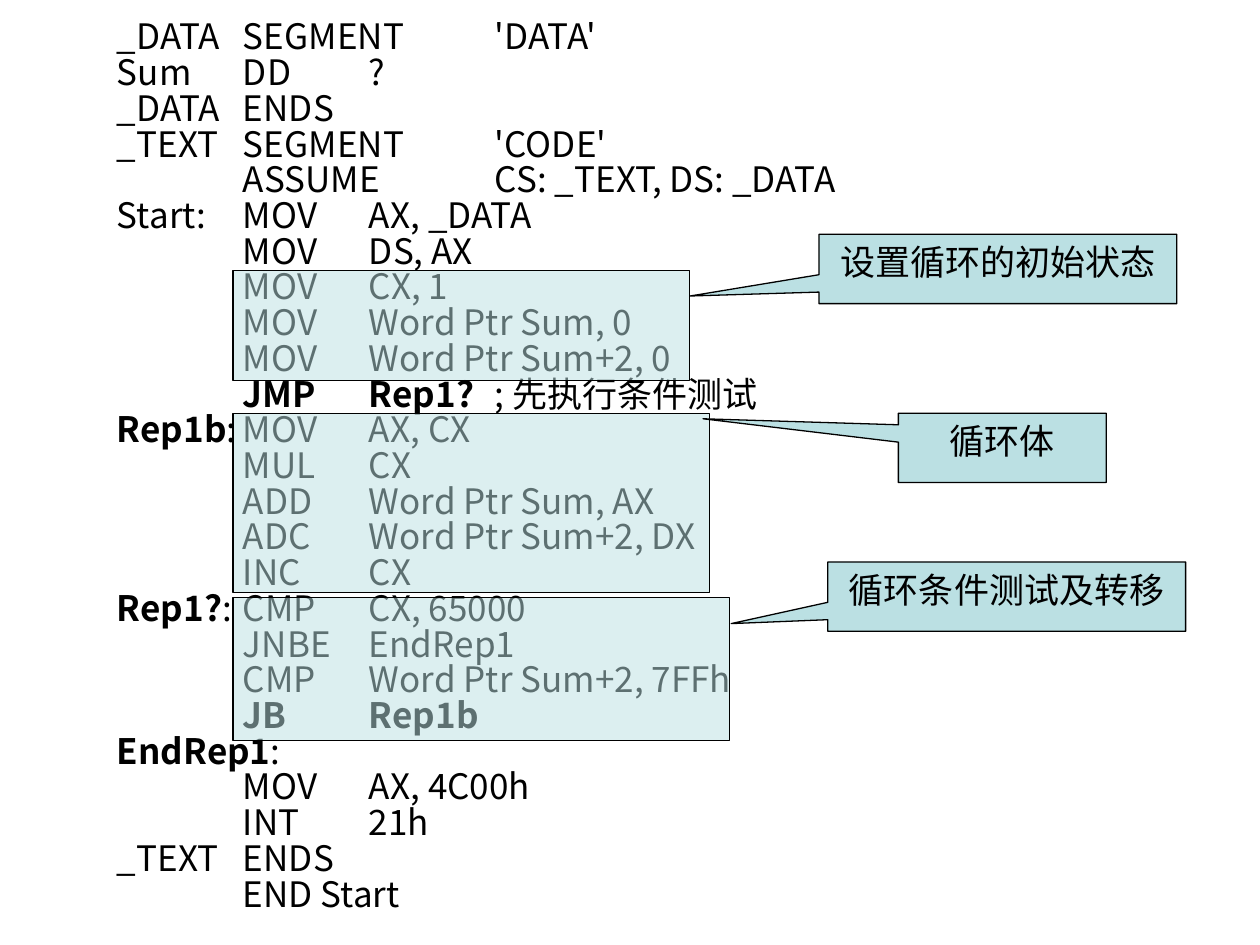
from lxml import etree
from pptx import Presentation, util as u
from pptx.dml.color import RGBColor
from pptx.enum import shapes, text
from pptx.oxml.ns import qn

COLOURS = {"ink": "000000", "panel": "BBE0E3"}
FONT = "Noto Sans CJK SC"
TAB_STOPS = range(8)
CODE_BOX = (0.83, 0.12, 7.95, 7.19)
BLOCK_LEFT = 1.85
CALLOUT_HEIGHT = 0.55
BOLD = "**"

CODE_LINES = [
    "_DATA\tSEGMENT\t'DATA'\t",
    "Sum\tDD\t?",
    "_DATA\tENDS",
    "_TEXT\tSEGMENT\t'CODE'",
    "\tASSUME\tCS: _TEXT, DS: _DATA",
    "Start:\tMOV\tAX, _DATA",
    "\tMOV\tDS, AX",
    "\tMOV\tCX, 1",
    "\tMOV\tWord Ptr Sum, 0",
    "\tMOV\tWord Ptr Sum+2, 0",
    "\t**JMP\tRep1?\t**; 先执行条件测试",
    "**Rep1b**:\tMOV\tAX, CX",
    "\tMUL\tCX\t",
    "\tADD\tWord Ptr Sum, AX",
    "\tADC\tWord Ptr Sum+2, DX",
    "\tINC\tCX\t",
    "**Rep1?**:\tCMP\tCX, 65000",
    "\tJNBE\tEndRep1",
    "\tCMP\tWord Ptr Sum+2, 7FFh",
    "\t**JB\tRep1b**",
    "**EndRep1**:",
    "\tMOV\tAX, 4C00h",
    "\tINT\t21h\t",
    "_TEXT\tENDS",
    "\tEND Start",
]

NOTES = [
    {"label": "设置循环的初始状态", "block": (2.15, 3.62, 0.87),
     "callout": (6.5, 1.86, 2.84), "pointer": (-0.86, 0.39)},
    {"label": "循环体", "block": (3.28, 3.78, 1.42),
     "callout": (7.13, 3.28, 1.65), "pointer": (-1.44, -0.42)},
    {"label": "循环条件测试及转移", "block": (4.74, 3.94, 1.14),
     "callout": (6.57, 4.46, 2.84), "pointer": (-0.77, 0.39)},
]


def colour(name):
    return RGBColor.from_string(COLOURS[name])


def apply(target, values):
    for name, value in values.items():
        setattr(target, name, value)


def inches(*lengths):
    return [u.Inches(length) for length in lengths]


def write_line(paragraph, line, values):
    tab_list = etree.SubElement(paragraph._p.get_or_add_pPr(), qn("a:tabLst"))
    for stop in TAB_STOPS:
        etree.SubElement(tab_list, qn("a:tab"), pos=str(u.Inches(stop)), algn="l")
    apply(paragraph, values)
    for index, part in enumerate(line.split(BOLD)):
        if part:
            run = paragraph.add_run()
            run.text = part
            apply(run.font, {"name": FONT, "size": u.Pt(20), "bold": index % 2 == 1})
            run.font.color.rgb = colour("ink")
            etree.SubElement(run._r.get_or_add_rPr(), qn("a:ea"), typeface=FONT)


def add_panel(group, kind, box):
    shape = group.shapes.add_shape(kind, *inches(*box))
    shape.shadow.inherit = False
    shape.fill.solid()
    shape.fill.fore_color.rgb = colour("panel")
    shape.line.color.rgb = colour("ink")
    shape.line.width = u.Pt(0.75)
    return shape


def add_code(slide):
    frame = slide.shapes.add_textbox(*inches(*CODE_BOX)).text_frame
    apply(frame, {"word_wrap": True, "auto_size": text.MSO_AUTO_SIZE.SHAPE_TO_FIT_TEXT})
    for index, line in enumerate(CODE_LINES):
        paragraph = frame.add_paragraph() if index else frame.paragraphs[0]
        write_line(paragraph, line, {"line_spacing": 0.85})


def add_note(slide, note):
    group = slide.shapes.add_group_shape()
    top, width, height = note["block"]
    block = add_panel(group, shapes.MSO_SHAPE.RECTANGLE, (BLOCK_LEFT, top, width, height))
    fill_colour = block._element.spPr.find(qn("a:solidFill"))[0]
    etree.SubElement(fill_colour, qn("a:alpha"), val="50000")

    callout = add_panel(group, shapes.MSO_SHAPE.RECTANGULAR_CALLOUT,
                        (*note["callout"], CALLOUT_HEIGHT))
    for index, offset in enumerate(note["pointer"]):
        callout.adjustments[index] = offset
    frame = callout.text_frame
    apply(frame, {"word_wrap": True, "vertical_anchor": text.MSO_ANCHOR.TOP})
    write_line(frame.paragraphs[0], note["label"], {"alignment": text.PP_ALIGN.CENTER})


def main():
    presentation = Presentation()
    apply(presentation, {"slide_width": u.Inches(10), "slide_height": u.Inches(7.5)})
    slide = presentation.slides.add_slide(presentation.slide_layouts[6])
    add_code(slide)
    for note in NOTES:
        add_note(slide, note)
    presentation.save("out.pptx")


if __name__ == "__main__":
    main()
